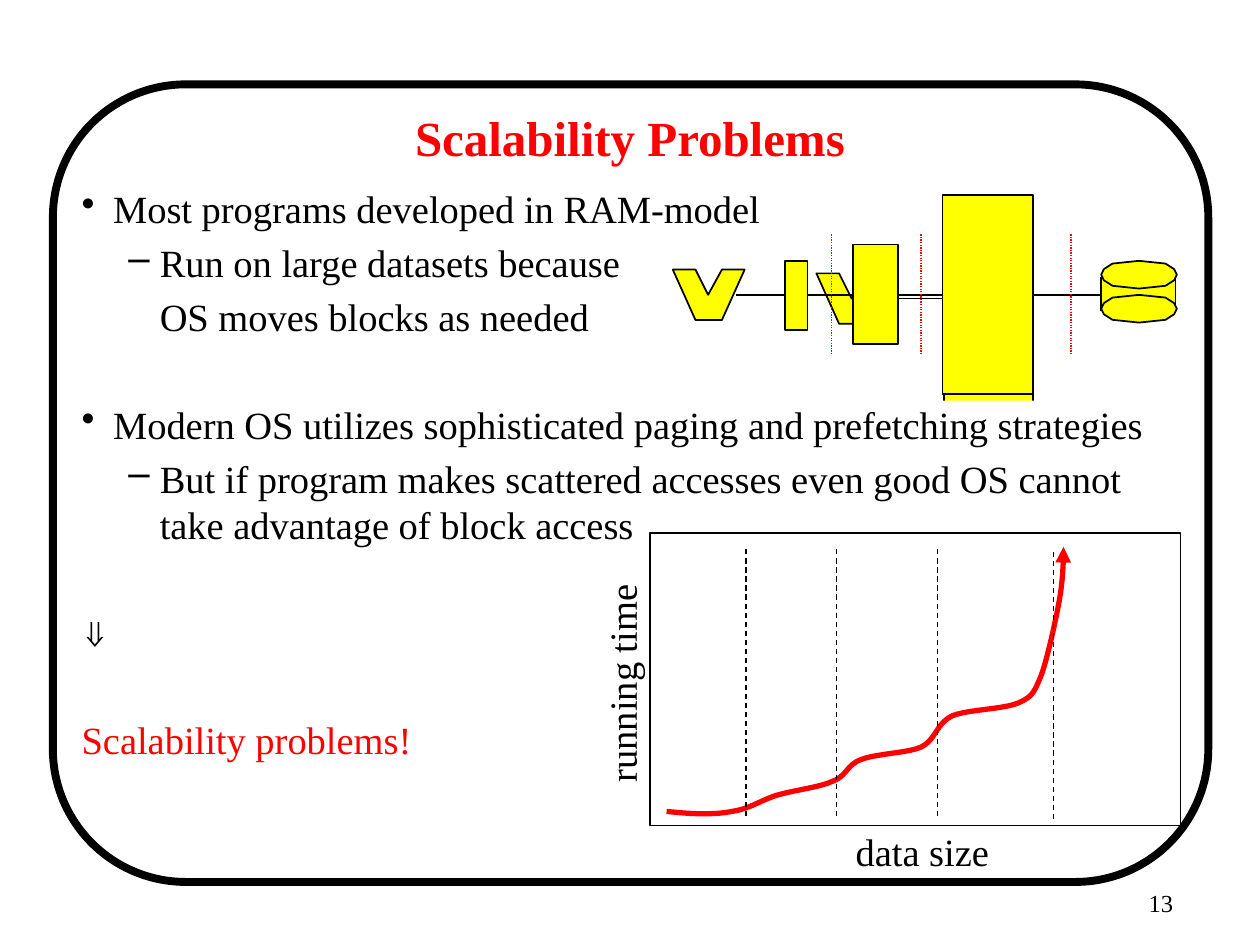
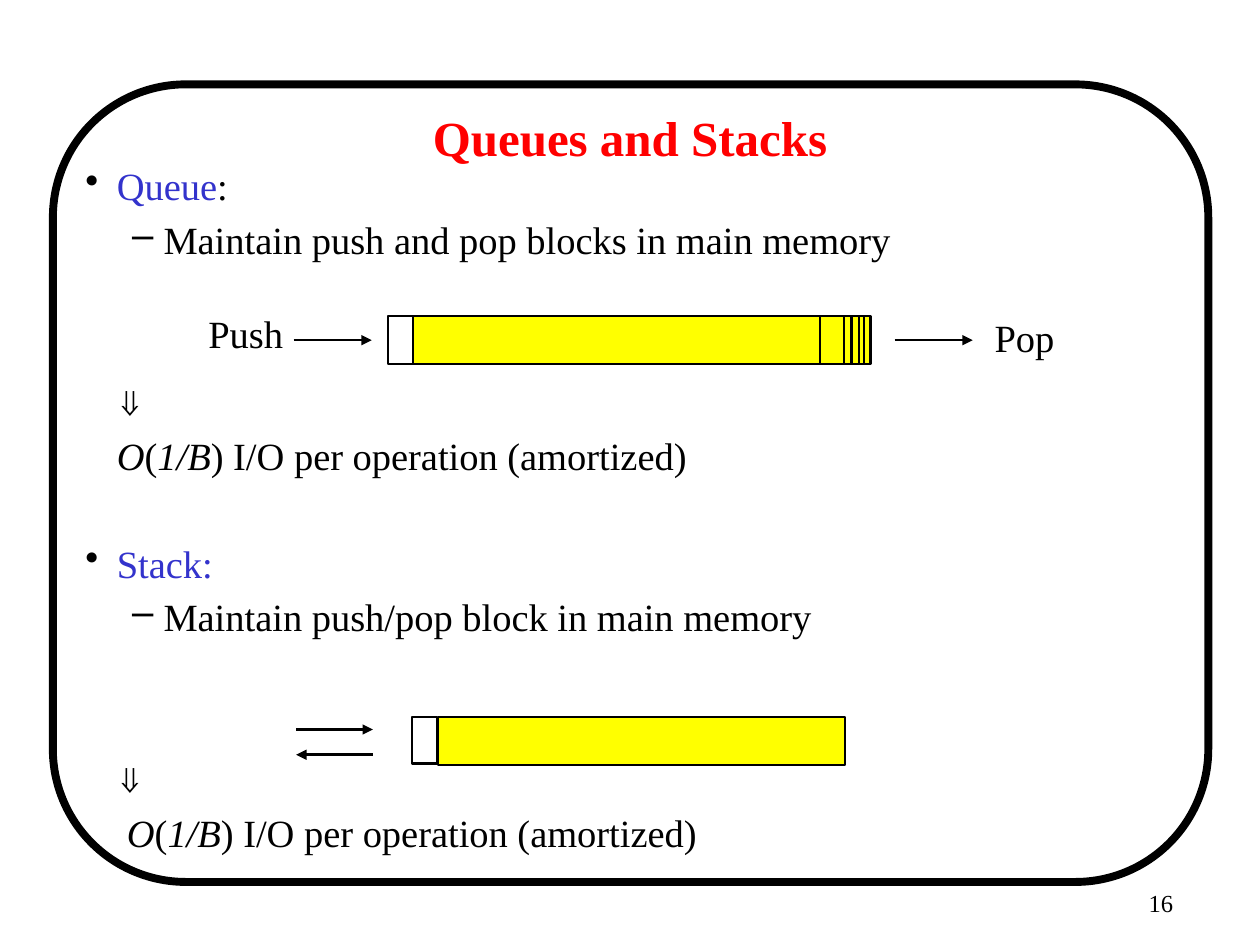
from lxml import etree
from pptx import Presentation, util as u
from pptx.dml.color import RGBColor
from pptx.enum import dml, shapes, text
from pptx.oxml.ns import qn

COLUMNS, ROWS = 10, 7.5
FONT = "Times New Roman"
BLACK, WHITE, RED, YELLOW, BLUE = "000000", "FFFFFF", "FF0000", "FFFF00", "3333CC"
BODY_SIZE, SPACE_BEFORE, LINE_PITCH = 22, 4.4, 30.8
# left margin, first-line indent, bullet character
LEVELS = {
    "bullet": (0.25, -0.25, "•"),
    "dash": (0.62, -0.25, "–"),
    "subline": (0.62, 0, None),
    "indented": (0.25, 0, None),
    "deeper": (0.33, 0, None),
    "plain": (0, 0, None),
}
KINDS = shapes.MSO_SHAPE
ALIGN = text.PP_ALIGN
DASH = dml.MSO_LINE.DASH
DOTS = dml.MSO_LINE.ROUND_DOT


def colour(value):
    return RGBColor.from_string(value)


def curve_points(start, segments, steps=10):
    """Points along a chain of cubic curves, each given as two controls and an end."""
    points = [start]
    for first, second, end in segments:
        for step in range(1, steps + 1):
            t = step / steps
            weights = ((1 - t) ** 3, 3 * t * (1 - t) ** 2, 3 * t * t * (1 - t), t ** 3)
            corners = (start, first, second, end)
            points.append(tuple(sum(w * corner[axis] for w, corner in zip(weights, corners))
                                for axis in (0, 1)))
        start = end
    return points


class SlideBuilder:
    """Draws on the current slide; lengths are grid columns and rows."""

    def __init__(self):
        self.deck = Presentation()
        self.deck.slide_width, self.deck.slide_height = u.Inches(COLUMNS), u.Inches(ROWS)
        self.column = self.deck.slide_width / COLUMNS
        self.row = self.deck.slide_height / ROWS
        self.page = None

    def place(self, *lengths):
        """Turn alternating column and row counts into slide lengths."""
        return [u.Emu(round(length * (self.row if index % 2 else self.column)))
                for index, length in enumerate(lengths)]

    def start_page(self, title, number):
        self.page = self.deck.slides.add_slide(self.deck.slide_layouts[6])
        self.shape((0.42, 0.67, 9.17, 6.33), line_width=4.5,
                   kind=KINDS.FLOWCHART_ALTERNATE_PROCESS)
        self.label(number, (7.33, 7, 2.08, 0.5), align=ALIGN.RIGHT, size=14)
        self.label(title, (0.75, 0.75, 8.5, 0.67), size=28, bold=True, ink=RED,
                   anchor=text.MSO_ANCHOR.MIDDLE)

    def paint(self, shape, fill, line, line_width):
        shape.shadow.inherit = False
        if fill:
            shape.fill.solid()
            shape.fill.fore_color.rgb = colour(fill)
        else:
            shape.fill.background()
        if line:
            self.stroke(shape.line, line, line_width)
        else:
            shape.line.fill.background()

    def stroke(self, line, ink, width, dash=None, arrow=None):
        line.color.rgb = colour(ink)
        line.width = u.Pt(width)
        if dash:
            line.dash_style = dash
        if arrow:
            etree.SubElement(line._get_or_add_ln(), qn(f"a:{arrow}"), type="triangle")

    def shape(self, area, fill=None, line=BLACK, line_width=1.0, kind=KINDS.RECTANGLE):
        self.paint(self.page.shapes.add_shape(kind, *self.place(*area)),
                   fill, line, line_width)

    def outline(self, points, fill=None, line=BLACK, line_width=1.0, closed=True, arrow=None):
        start, *others = [self.place(*point) for point in points]
        builder = self.page.shapes.build_freeform(*start)
        builder.add_line_segments(others, close=closed)
        drawing = builder.convert_to_shape()
        self.paint(drawing, fill, line, line_width)
        if arrow:
            self.stroke(drawing.line, line, line_width, arrow=arrow)

    def line(self, start, end, ink=BLACK, width=1.0, dash=None, arrow=None):
        connector = self.page.shapes.add_connector(
            shapes.MSO_CONNECTOR.STRAIGHT, *self.place(*start, *end))
        self.stroke(connector.line, ink, width, dash, arrow)
        etree.SubElement(connector._element.spPr, qn("a:effectLst"))

    def text_frame(self, area, rotation=0, **format_values):
        box = self.page.shapes.add_textbox(*self.place(*area))
        box.rotation = rotation
        for name, value in format_values.items():
            setattr(box.text_frame, name, value)
        return box.text_frame

    def add_span(self, para, content, size=BODY_SIZE, ink=BLACK, bold=False, italic=False):
        span = para.add_run()
        span.text = content
        values = {"name": FONT, "size": u.Pt(size), "bold": bold, "italic": italic}
        for name, value in values.items():
            setattr(span.font, name, value)
        span.font.color.rgb = colour(ink)

    def label(self, content, area, align=ALIGN.CENTER, rotation=0, wrap=True,
              anchor=text.MSO_ANCHOR.TOP, **style):
        frame = self.text_frame(area, rotation, word_wrap=wrap, vertical_anchor=anchor)
        para = frame.paragraphs[0]
        para.alignment = align
        self.add_span(para, content, **style)

    def body(self, area, entries):
        """Entries are (level, skipped lines, spans); a span is (content, style)."""
        frame = self.text_frame(area, word_wrap=True)
        for index, (level, skipped, spans) in enumerate(entries):
            para = frame.add_paragraph() if index else frame.paragraphs[0]
            margin, indent, bullet = LEVELS[level]
            properties = para._p.get_or_add_pPr()
            properties.set("marL", str(u.Inches(margin)))
            properties.set("indent", str(u.Inches(indent)))
            if bullet:
                ink = etree.SubElement(properties, qn("a:buClr"))
                etree.SubElement(ink, qn("a:srgbClr"), val=BLACK)
                etree.SubElement(properties, qn("a:buChar"), char=bullet)
            if index:
                para.space_before = u.Pt(SPACE_BEFORE + skipped * LINE_PITCH)
            for content, style in spans:
                self.add_span(para, content, **style)

    def processor(self, left, top):
        offsets = [(0, 0), (0.18, 0), (0.28, 0.2), (0.39, 0), (0.57, 0), (0.39, 0.4), (0.18, 0.4)]
        self.outline([(left + x, top + y) for x, y in offsets], YELLOW)

    def disc(self, centre_x, centre_y, radius_x=0.3, radius_y=0.11):
        half = [(1, 0), (0.93, 0.4), (0.7, 0.8), (0, 1), (-0.7, 0.8), (-0.93, 0.4)]
        ring = half + [(-x, -y) for x, y in half]
        self.outline([(centre_x + x * radius_x, centre_y + y * radius_y) for x, y in ring], YELLOW)


def memory_hierarchy(draw):
    axis = 2.34
    draw.shape((8.74, 2.21, 0.59, 0.25), YELLOW, line=None)
    memories = [(6.23, 2.07, 0.18, 0.55), (6.77, 1.94, 0.36, 0.79), (7.48, 1.55, 0.72, 1.58)]
    for memory in memories:
        draw.shape(memory, YELLOW)
    links = [(6.41, 6.77), (7.13, 7.48), (8.2, 8.74), (5.84, 6.23)]
    for start, end in links:
        draw.line((start, axis), (end, axis))
    draw.disc(9.04, 2.18)
    for side in (8.74, 9.33):
        draw.line((side, 2.2), (side, 2.47))
    draw.processor(5.34, 2.14)
    draw.disc(9.04, 2.45)
    for boundary in (6.6, 7.31, 8.5):
        draw.line((boundary, 1.86), (boundary, 2.82), RED, 0.75, DOTS)


def running_time_plot(draw):
    draw.shape((5.16, 4.23, 4.21, 2.32), line_width=0.75)
    draw.label("data size", (6.69, 6.52, 1.26, 0.47), wrap=False)
    draw.label("running time", (4.05, 5.19, 1.77, 0.47), rotation=270, wrap=False)
    growth = [
        ((5.48, 6.46), (5.66, 6.47), (5.81, 6.44)),
        ((5.95, 6.42), (6.04, 6.35), (6.17, 6.31)),
        ((6.31, 6.27), (6.5, 6.25), (6.61, 6.2)),
        ((6.72, 6.16), (6.72, 6.07), (6.83, 6.03)),
        ((6.95, 5.98), (7.19, 5.98), (7.31, 5.93)),
        ((7.43, 5.87), (7.43, 5.74), (7.56, 5.68)),
        ((7.69, 5.63), (7.96, 5.63), (8.08, 5.58)),
        ((8.19, 5.53), (8.2, 5.51), (8.26, 5.37)),
        ((8.31, 5.24), (8.38, 4.92), (8.41, 4.75)),
        ((8.44, 4.58), (8.44, 4.41), (8.44, 4.34)),
    ]
    draw.outline(curve_points((5.29, 6.44), growth), line=RED, line_width=3,
                 closed=False, arrow="tailEnd")
    for x, top in ((8.36, 4.38), (6.64, 4.36), (7.44, 4.36), (5.92, 4.36)):
        draw.line((x, top), (x, top + 2.14), width=0.75, dash=DASH)


def scalability_page(draw):
    draw.start_page("Scalability Problems", "13")
    draw.shape((7.49, 1.56, 0.71, 1.63), YELLOW)
    draw.line((6.81, 2.37), (7.49, 2.37))
    draw.processor(6.48, 2.17)
    draw.shape((7.37, 3.18, 1.02, 0.16), WHITE, line=None)
    draw.body((0.55, 1.42, 9.03, 5.65), [
        ("bullet", 0, [("Most programs developed in RAM-model", {})]),
        ("dash", 0, [("Run on large datasets because", {})]),
        ("subline", 0, [("OS moves blocks as needed", {})]),
        ("bullet", 1, [("Modern OS utilizes sophisticated paging and prefetching strategies", {})]),
        ("dash", 0, [("But if program makes scattered accesses even good OS cannot "
                      "take advantage of block access", {})]),
        ("plain", 1, [("⇓", {})]),
        ("plain", 1, [("Scalability problems!", {"ink": RED})]),
    ])
    running_time_plot(draw)
    memory_hierarchy(draw)


def queue_diagram(draw):
    top, height = 2.51, 0.38
    for width in (0.21, 0.16, 0.12, 0.06):
        draw.shape((6.7, top, width, height), YELLOW, line_width=1.38)
    draw.shape((6.49, top, 0.21, height), YELLOW, line_width=1.38)
    draw.shape((3.08, top, 0.2, height), WHITE, line_width=1.38)
    draw.shape((3.28, top, 3.23, height), YELLOW, line_width=1.13)
    for start in (2.33, 7.1):
        draw.line((start, 2.7), (start + 0.62, 2.7), width=1.38, arrow="tailEnd")
    draw.label("Push", (1.55, 2.41, 0.8, 0.47), wrap=False)
    draw.label("Pop", (7.79, 2.44, 0.68, 0.47), wrap=False)


def stack_diagram(draw):
    draw.shape((3.48, 5.69, 3.23, 0.38), YELLOW, line_width=1.13)
    draw.shape((3.27, 5.69, 0.2, 0.37), WHITE, line_width=1.38)
    for y, arrow in ((5.79, "tailEnd"), (5.99, "headEnd")):
        draw.line((2.35, y), (2.96, y), width=1.38, arrow=arrow)


def queues_page(draw):
    italic = {"italic": True}
    cost = [("O", italic), ("(", {}), ("1/B", italic), (") I/O per operation (amortized)", {})]
    draw.start_page("Queues and Stacks", "16")
    draw.body((0.58, 1.24, 8.83, 5.83), [
        ("bullet", 0, [("Queue", {"ink": BLUE}), (":", {})]),
        ("dash", 0, [("Maintain push and pop blocks in main memory", {})]),
        ("indented", 2, [("⇓", {})]),
        ("indented", 0, cost),
        ("bullet", 1, [("Stack:", {"ink": BLUE})]),
        ("dash", 0, [("Maintain push/pop block in main memory", {})]),
        ("indented", 2, [("⇓", {})]),
        ("deeper", 0, cost),
    ])
    queue_diagram(draw)
    stack_diagram(draw)


def main():
    draw = SlideBuilder()
    scalability_page(draw)
    queues_page(draw)
    draw.deck.save("out.pptx")


if __name__ == "__main__":
    main()
